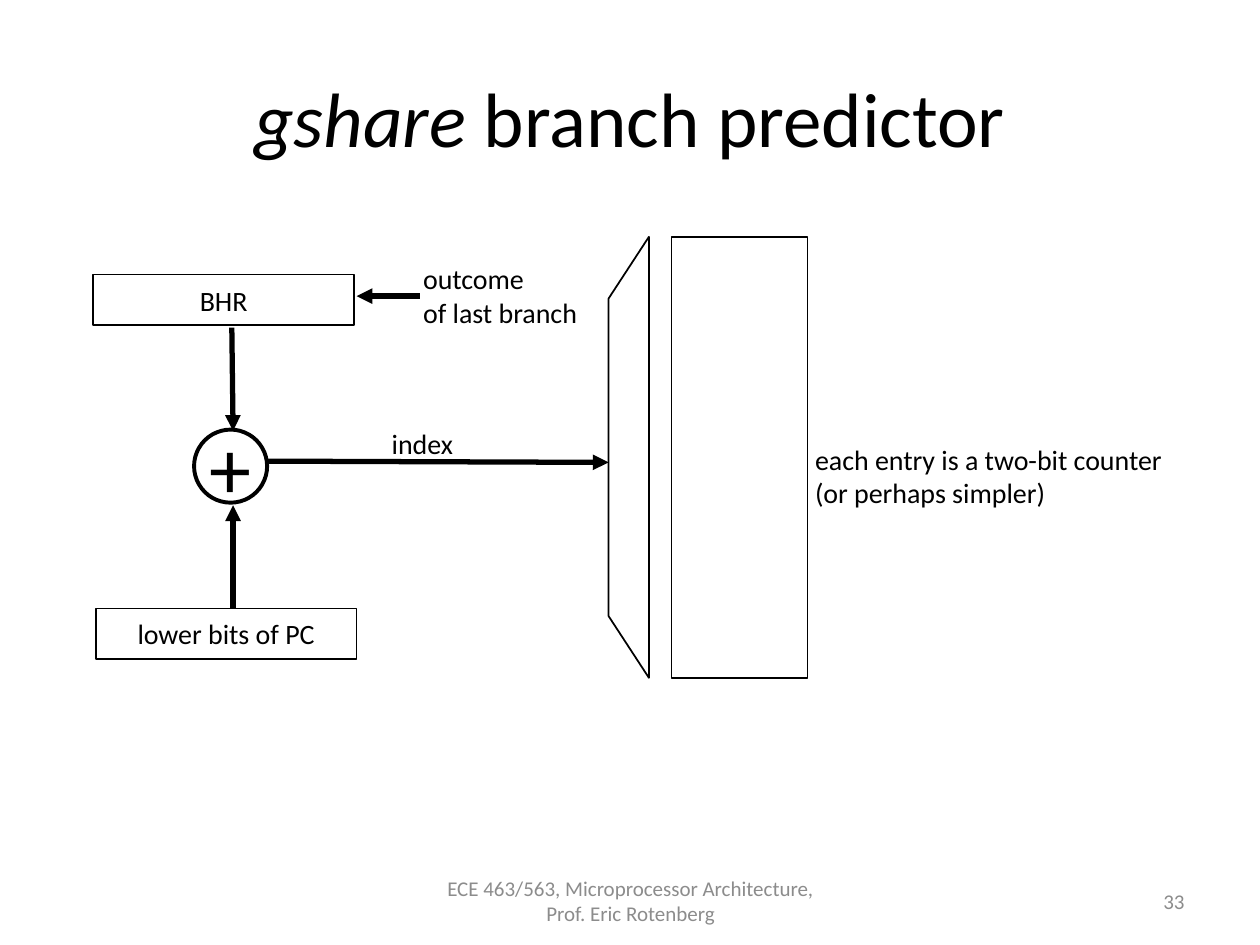
from dataclasses import dataclass

from lxml.etree import SubElement
from pptx import Presentation
from pptx.dml.color import RGBColor
from pptx.enum.shapes import MSO_CONNECTOR, MSO_SHAPE
from pptx.enum.text import MSO_ANCHOR, MSO_AUTO_SIZE, PP_ALIGN
from pptx.oxml.ns import qn
from pptx.util import Pt

EMU_PER_PX = 9144  # 100 px to the inch


@dataclass(frozen=True)
class Theme:
    font: str = "Calibri"
    ink: RGBColor = RGBColor(0x00, 0x00, 0x00)
    paper: RGBColor = RGBColor(0xFF, 0xFF, 0xFF)
    muted: RGBColor = RGBColor(0x8C, 0x8C, 0x8C)
    title_size: int = 44
    plus_size: int = 48
    label_size: int = 16
    footer_size: int = 12
    thin: float = 1
    ring: float = 2.25
    thick: float = 3


THEME = Theme()

# Content: boxes are left, top, width, height in px
TITLE_BOX = (50, 30, 900, 125)
TITLE_RUNS = [("gshare", True), (" branch predictor", False)]

DECODER_OUTLINE = [(515, 188), (483, 237), (483, 489), (515, 538)]

BLOCKS = [  # preset, box, text, type size, line width
    (MSO_SHAPE.RECTANGLE, (74, 218, 207, 40), "BHR", THEME.label_size, THEME.thin),
    (MSO_SHAPE.OVAL, (154, 341, 58, 58), "+", THEME.plus_size, THEME.ring),
    (MSO_SHAPE.RECTANGLE, (533, 188, 108, 350), "", THEME.label_size, THEME.thin),
    (MSO_SHAPE.RECTANGLE, (76, 483, 207, 40), "lower bits of PC", THEME.label_size, THEME.thin),
]

ARROWS = [  # start, tip
    ((333, 235), (283, 235)),  # outcome to BHR
    ((184, 260), (185, 342)),  # BHR to XOR
    ((185, 483), (185, 401)),  # PC to XOR
    ((212, 366), (483, 367)),  # XOR to decoder
]

LABELS = [
    ((326, 203, 144, 64), ["outcome", "of last branch"]),
    ((637, 346, 299, 64), ["each entry is a two-bit counter", "(or perhaps simpler)"]),
    ((301, 334, 69, 37), ["index"]),
]

FOOTERS = [
    ((342, 695, 317, 40), "ECE 463/563, Microprocessor Architecture, Prof. Eric Rotenberg", PP_ALIGN.CENTER),
    ((717, 695, 233, 40), "33", PP_ALIGN.RIGHT),
]


def emu(values):
    return [value * EMU_PER_PX for value in values]


def add_run(paragraph, text, size, color=THEME.ink, italic=False):
    run = paragraph.add_run()
    run.text = text
    run.font.name = THEME.font
    run.font.size = Pt(size)
    run.font.italic = italic
    run.font.color.rgb = color


def write(frame, lines, size, color=THEME.ink, align=PP_ALIGN.LEFT,
          anchor=MSO_ANCHOR.TOP, wrap=False):
    frame.word_wrap = wrap
    frame.vertical_anchor = anchor
    for index, line in enumerate(lines):
        paragraph = frame.add_paragraph() if index else frame.paragraphs[0]
        paragraph.alignment = align
        add_run(paragraph, line, size, color)


def style(shape, width):
    shape.shadow.inherit = False
    shape.fill.solid()
    shape.fill.fore_color.rgb = THEME.paper
    shape.line.color.rgb = THEME.ink
    shape.line.width = Pt(width)


def add_title(slide):
    title = slide.shapes.title
    title.left, title.top, title.width, title.height = emu(TITLE_BOX)
    title.text_frame.vertical_anchor = MSO_ANCHOR.MIDDLE
    paragraph = title.text_frame.paragraphs[0]
    paragraph.alignment = PP_ALIGN.CENTER
    for text, italic in TITLE_RUNS:
        add_run(paragraph, text, THEME.title_size, italic=italic)


def add_decoder(slide):
    start, *others = DECODER_OUTLINE
    builder = slide.shapes.build_freeform(*start, scale=EMU_PER_PX)
    builder.add_line_segments(others, close=True)
    style(builder.convert_to_shape(), THEME.thin)


def add_block(slide, preset, box, text, size, width):
    block = slide.shapes.add_shape(preset, *emu(box))
    style(block, width)
    if text:
        write(block.text_frame, [text], size, align=PP_ALIGN.CENTER, anchor=MSO_ANCHOR.MIDDLE)


def add_arrow(slide, start, tip):
    arrow = slide.shapes.add_connector(MSO_CONNECTOR.STRAIGHT, *emu(start + tip))
    arrow.line.color.rgb = THEME.ink
    arrow.line.width = Pt(THEME.thick)
    properties = arrow.line._get_or_add_ln()
    SubElement(properties, qn("a:tailEnd"), type="triangle")
    SubElement(properties.getparent(), qn("a:effectLst"))


def main():
    presentation = Presentation()
    presentation.slide_width, presentation.slide_height = emu((1000, 750))
    slide = presentation.slides.add_slide(presentation.slide_layouts.get_by_name("Title Only"))
    add_title(slide)

    # Predictor diagram
    add_decoder(slide)
    for block in BLOCKS:
        add_block(slide, *block)
    for start, tip in ARROWS:
        add_arrow(slide, start, tip)
    for box, lines in LABELS:
        label = slide.shapes.add_textbox(*emu(box))
        write(label.text_frame, lines, THEME.label_size)
        label.text_frame.auto_size = MSO_AUTO_SIZE.SHAPE_TO_FIT_TEXT

    # Footer and slide number
    for box, text, align in FOOTERS:
        footer = slide.shapes.add_textbox(*emu(box))
        write(footer.text_frame, [text], THEME.footer_size, THEME.muted, align,
              MSO_ANCHOR.MIDDLE, wrap=True)

    presentation.save("out.pptx")


if __name__ == "__main__":
    main()
